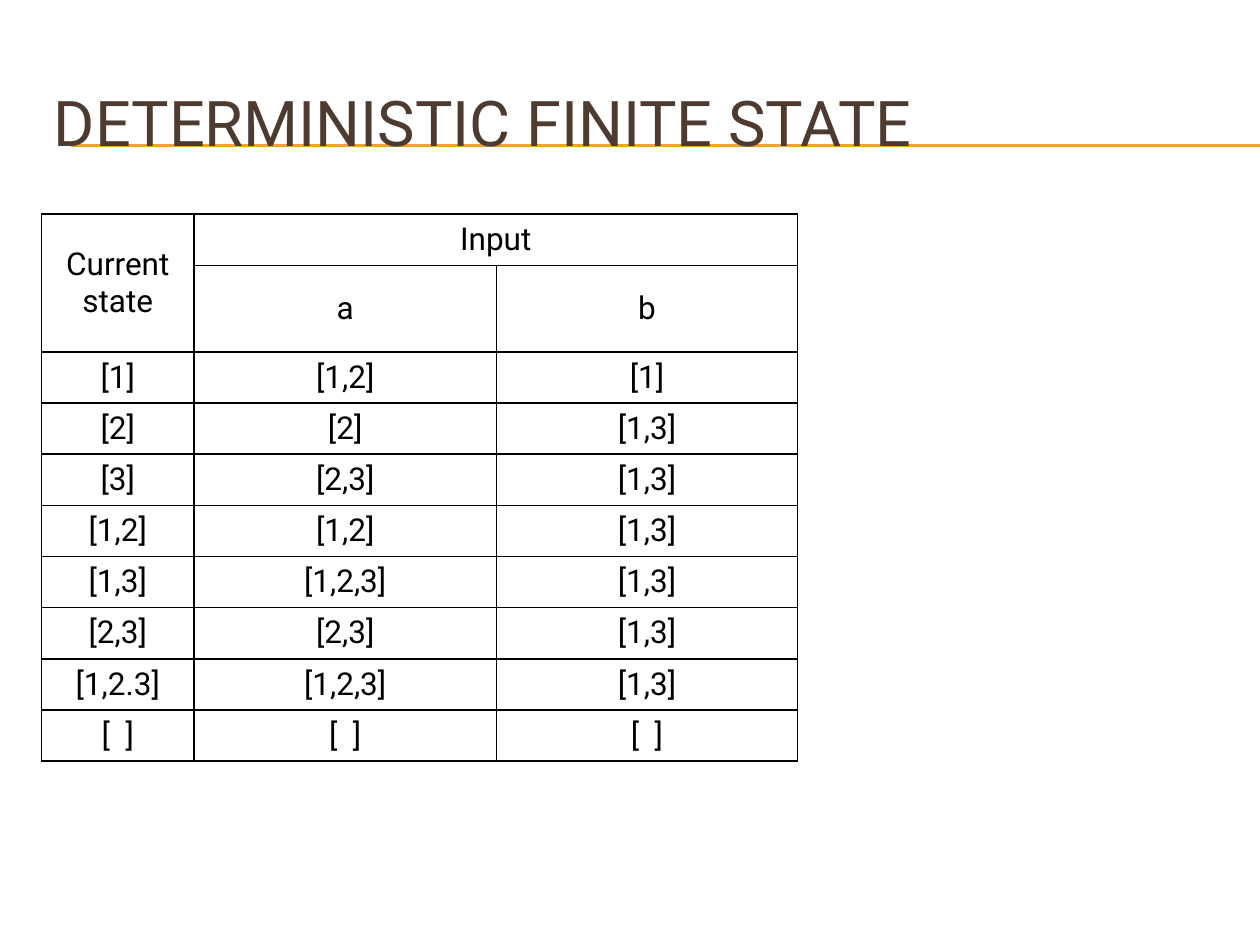
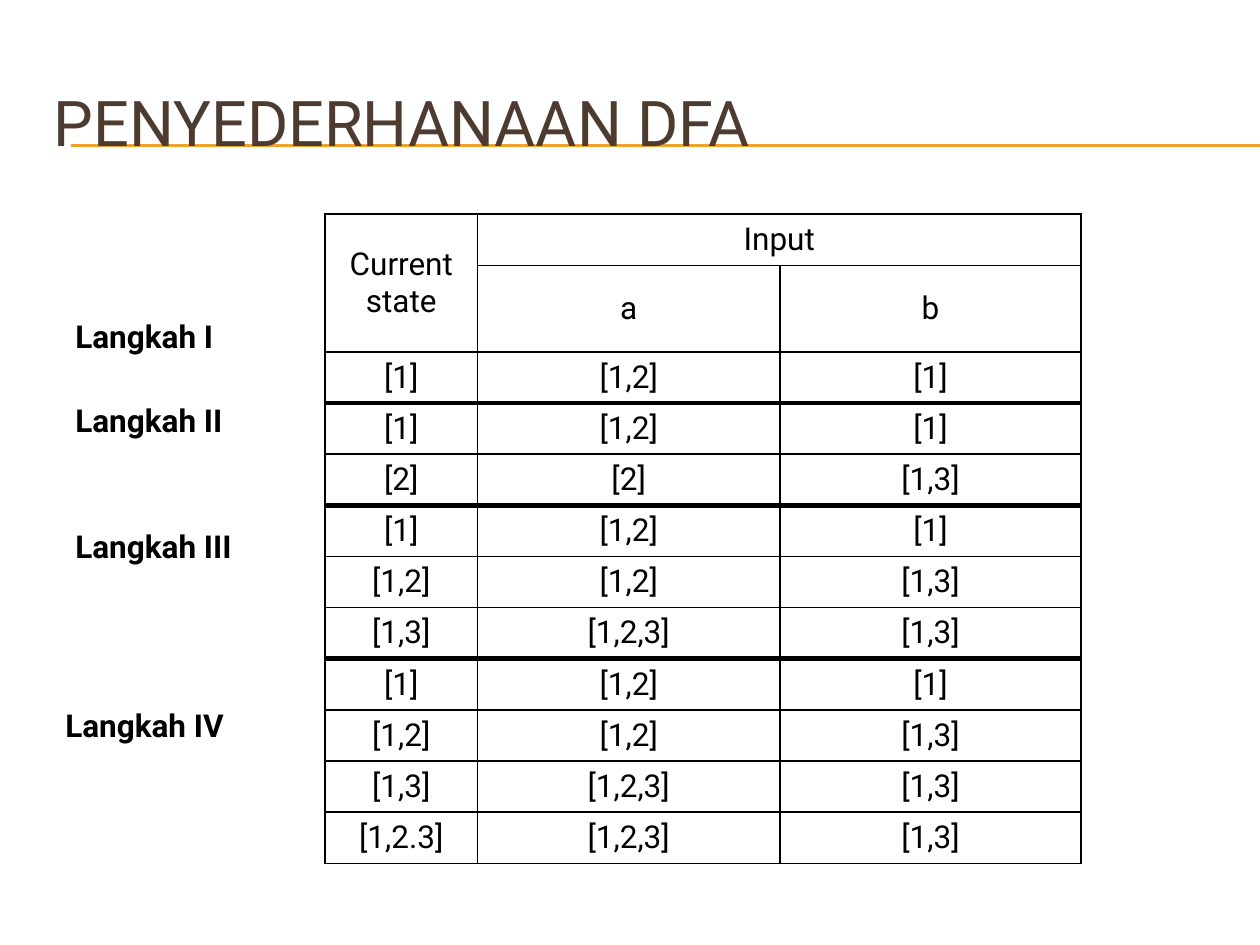
import dataclasses
import itertools
import typing

import lxml.etree
import pptx
import pptx.dml.color
import pptx.enum.shapes
import pptx.enum.text
import pptx.oxml.ns
import pptx.slide
import pptx.text.text
import pptx.util

Inches = pptx.util.Inches
Pt = pptx.util.Pt
RGBColor = pptx.dml.color.RGBColor
Anchor = pptx.enum.text.MSO_ANCHOR
Align = pptx.enum.text.PP_ALIGN
qn = pptx.oxml.ns.qn

GOLD = RGBColor(0xF0, 0xA2, 0x2E)
BROWN = RGBColor(0x4E, 0x3B, 0x30)
BLACK = RGBColor(0, 0, 0)
FONT = "Roboto"
WIDTHS = (1.21, 2.4, 2.39)
HEIGHT = 0.406
TOP = 1.7
THIN, THICK = 1, 3
HEAD = [("Current state", "Input", ""), ("", "a", "b")]

Row = tuple[str, str, str]


@dataclasses.dataclass(frozen=True)
class Label:
    """Text box with its place and style."""

    text: str
    left: float
    top: float
    width: float = 2
    height: float = 0.5
    size: int = 18
    color: RGBColor = BLACK
    bold: bool = True


@dataclasses.dataclass(frozen=True)
class Page:
    """Title, table groups and step labels of one slide."""

    title: str
    left: float
    groups: list[list[Row]]
    steps: tuple[Label, ...] = ()


ONE = ("[1]", "[1,2]", "[1]")
TWO = ("[2]", "[2]", "[1,3]")
THREE = ("[3]", "[2,3]", "[1,3]")
PAIR_A = ("[1,2]", "[1,2]", "[1,3]")
PAIR_B = ("[1,3]", "[1,2,3]", "[1,3]")
PAIR_C = ("[2,3]", "[2,3]", "[1,3]")
FULL = ("[1,2.3]", "[1,2,3]", "[1,3]")
VOID = ("[  ]", "[  ]", "[  ]")

PAGES = (
    Page(
        "DETERMINISTIC FINITE STATE",
        0.33,
        [[ONE, TWO, THREE, PAIR_A, PAIR_B, PAIR_C, FULL, VOID]],
    ),
    Page(
        "PENYEDERHANAAN DFA",
        2.58,
        [[ONE], [ONE, TWO], [ONE, PAIR_A, PAIR_B], [ONE, PAIR_A, PAIR_B, FULL]],
        (
            Label("Langkah I", 0.5, 2.42),
            Label("Langkah II", 0.5, 3.08),
            Label("Langkah III", 0.5, 4.08),
            Label("Langkah IV", 0.42, 5.5),
        ),
    ),
)


def write(
    frame: pptx.text.text.TextFrame, text: str, size: int, color: RGBColor, bold: bool
) -> None:
    """Add one styled run to the first paragraph."""
    run = frame.paragraphs[0].add_run()
    run.text = text
    run.font.name = FONT
    run.font.size = Pt(size)
    run.font.bold = bold
    run.font.color.rgb = color


def add_label(slide: pptx.slide.Slide, label: Label) -> None:
    """Draw a text box centred on its height."""
    place = (label.left, label.top, label.width, label.height)
    frame = slide.shapes.add_textbox(*map(Inches, place)).text_frame
    frame.word_wrap = True
    frame.vertical_anchor = Anchor.MIDDLE
    write(frame, label.text, label.size, label.color, label.bold)


def add_rule(slide: pptx.slide.Slide, top: float) -> None:
    """Draw a gold line that runs to the right edge."""
    line = slide.shapes.add_connector(
        pptx.enum.shapes.MSO_CONNECTOR.STRAIGHT,
        Inches(0.56), Inches(top), Inches(10), Inches(top),
    )
    line.line.color.rgb = GOLD
    line.line.width = Pt(0.75)
    lxml.etree.SubElement(line._element.spPr, qn("a:effectLst"))


def set_edges(cell: typing.Any, above: float, below: float) -> None:
    """Give a cell black borders of the stated widths."""
    props = cell._tc.get_or_add_tcPr()
    edges = (("L", THIN), ("R", THIN), ("T", above), ("B", below))
    for spot, (side, width) in enumerate(edges):
        edge = lxml.etree.Element(qn(f"a:ln{side}"), w=str(Pt(width)))
        fill = lxml.etree.SubElement(edge, qn("a:solidFill"))
        lxml.etree.SubElement(fill, qn("a:srgbClr"), val=str(BLACK))
        props.insert(spot, edge)


def add_grid(slide: pptx.slide.Slide, page: Page) -> None:
    """Draw the state table with thick lines between groups."""
    rows = HEAD + list(itertools.chain.from_iterable(page.groups))
    ends = itertools.accumulate(map(len, page.groups), initial=len(HEAD))
    breaks = set(list(ends)[1:-1])
    grid = slide.shapes.add_table(
        len(rows), len(WIDTHS), Inches(page.left), Inches(TOP),
        Inches(sum(WIDTHS)), Inches(HEIGHT * len(rows)),
    ).table
    grid.first_row = grid.horz_banding = False
    for col, width in zip(grid.columns, WIDTHS):
        col.width = Inches(width)
    for r, row in enumerate(rows):
        grid.rows[r].height = Inches(HEIGHT)
        above, below = (THICK if n in breaks else THIN for n in (r, r + 1))
        for c, text in enumerate(row):
            cell = grid.cell(r, c)
            cell.fill.background()
            cell.vertical_anchor = Anchor.MIDDLE
            set_edges(cell, above, below)
            if text:
                write(cell.text_frame, text, 18, BLACK, False)
                cell.text_frame.paragraphs[0].alignment = Align.CENTER
    grid.cell(0, 0).merge(grid.cell(1, 0))
    grid.cell(0, 1).merge(grid.cell(0, 2))


def main() -> None:
    """Build and save the slides."""
    deck = pptx.Presentation()
    deck.slide_width, deck.slide_height = Inches(10), Inches(7.5)
    for page in PAGES:
        slide = deck.slides.add_slide(deck.slide_layouts[6])
        for top in (1.15, 1.16):
            add_rule(slide, top)
        add_grid(slide, page)
        title = Label(page.title, 0.33, 0.5, 9.5, 0.92, 36, BROWN, False)
        for label in (*page.steps, title):
            add_label(slide, label)
    deck.save("out.pptx")


if __name__ == "__main__":
    main()
